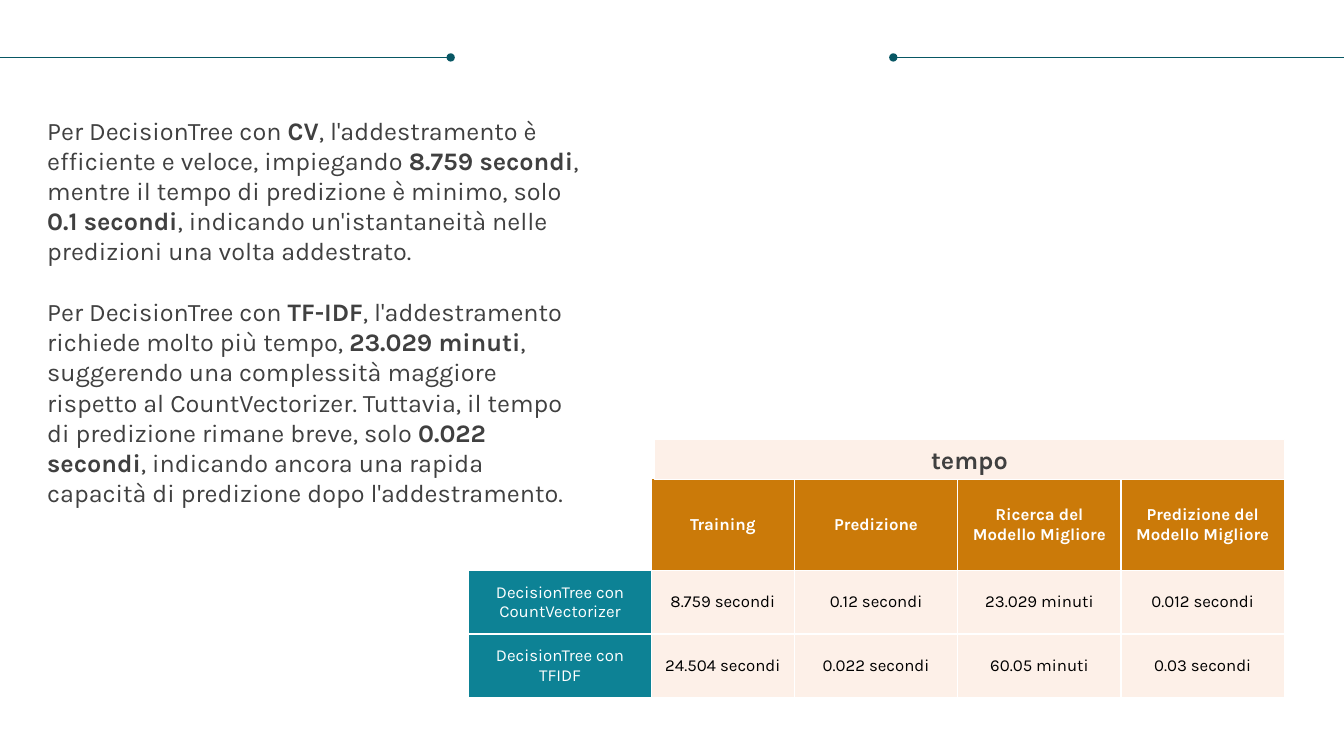
from dataclasses import dataclass

from lxml.etree import SubElement
from pptx import Presentation
from pptx.dml.color import RGBColor
from pptx.enum.shapes import MSO_CONNECTOR, MSO_SHAPE
from pptx.enum.text import MSO_ANCHOR, PP_ALIGN
from pptx.oxml.ns import qn
from pptx.util import Inches, Pt


@dataclass(frozen=True)
class Theme:
    font: str = "Karla"
    text_size: int = 18
    table_size: int = 12
    text: RGBColor = RGBColor(0x40, 0x40, 0x40)
    black: RGBColor = RGBColor(0, 0, 0)
    white: RGBColor = RGBColor(0xFF, 0xFF, 0xFF)
    rule: RGBColor = RGBColor(0x08, 0x57, 0x64)
    orange: RGBColor = RGBColor(0xCB, 0x7A, 0x09)
    teal: RGBColor = RGBColor(0x0D, 0x82, 0x95)
    cream: RGBColor = RGBColor(0xFD, 0xF0, 0xE8)


theme = Theme()


def write(paragraph, text, size=theme.text_size, color=theme.text, bold=False,
          align=PP_ALIGN.LEFT, space_after=0):
    paragraph.alignment = align
    paragraph.space_after = Pt(space_after)
    for index, part in enumerate(text.split("**")):
        if part:
            run = paragraph.add_run()
            run.text = part
            run.font.name = theme.font
            run.font.size = Pt(size)
            run.font.color.rgb = color
            run.font.bold = bold or index % 2 == 1


def add_border(cell, side):
    line = SubElement(cell._tc.get_or_add_tcPr(), qn(f"a:{side}"), w=str(Pt(1)))
    fill = SubElement(line, qn("a:solidFill"))
    SubElement(fill, qn("a:srgbClr"), val=str(theme.white))


presentation = Presentation()
presentation.slide_width = Inches(13.33)
presentation.slide_height = Inches(7.5)
slide = presentation.slides.add_slide(presentation.slide_layouts[6])

for start, end, dot_end in [(8.86, 13.33, "headEnd"), (0, 4.47, "tailEnd")]:
    rule = slide.shapes.add_connector(
        MSO_CONNECTOR.STRAIGHT, Inches(start), Inches(0.57), Inches(end), Inches(0.57))
    rule.line.color.rgb = theme.rule
    rule.line.width = Pt(0.5)
    SubElement(rule.line._get_or_add_ln(), qn(f"a:{dot_end}"), type="oval")
    SubElement(rule._element.spPr, qn("a:effectLst"))

column_widths = [1.81, 1.42, 1.62, 1.62, 1.62]
row_heights = [0.91, 0.63, 0.63]
times = [
    ["", "Training", "Predizione", "Ricerca del Modello Migliore",
     "Predizione del Modello Migliore"],
    ["DecisionTree con CountVectorizer", "8.759 secondi", "0.12 secondi",
     "23.029 minuti", "0.012 secondi"],
    ["DecisionTree con TFIDF", "24.504 secondi", "0.022 secondi",
     "60.05 minuti", "0.03 secondi"],
]
table = slide.shapes.add_table(
    len(row_heights), len(column_widths), Inches(4.65), Inches(4.75),
    Inches(sum(column_widths)), Inches(sum(row_heights))).table
for column, width in zip(table.columns, column_widths):
    column.width = Inches(width)
for row, height in zip(table.rows, row_heights):
    row.height = Inches(height)

for row_index, values in enumerate(times):
    for column_index, value in enumerate(values):
        cell = table.cell(row_index, column_index)
        is_header = row_index == 0
        is_label = column_index == 0
        for side in ("lnL", "lnR", "lnT", "lnB"):
            add_border(cell, side)
        cell.fill.solid()
        if is_header:
            cell.fill.fore_color.rgb = theme.white if is_label else theme.orange
        else:
            cell.fill.fore_color.rgb = theme.teal if is_label else theme.cream
        cell.vertical_anchor = MSO_ANCHOR.MIDDLE
        write(cell.text_frame.paragraphs[0], value, size=theme.table_size,
              color=theme.white if is_header or is_label else theme.black,
              bold=is_header, align=PP_ALIGN.CENTER)

time_banner = slide.shapes.add_shape(
    MSO_SHAPE.RECTANGLE, Inches(6.49), Inches(4.36), Inches(6.25), Inches(0.4))
time_banner.shadow.inherit = False
time_banner.fill.solid()
time_banner.fill.fore_color.rgb = theme.cream
time_banner.line.color.rgb = theme.white
time_banner.line.width = Pt(1)
time_banner.text_frame.vertical_anchor = MSO_ANCHOR.MIDDLE
write(time_banner.text_frame.paragraphs[0], "tempo", bold=True, align=PP_ALIGN.CENTER)

commentary = slide.shapes.add_textbox(
    Inches(0.37), Inches(1.09), Inches(5.56), Inches(4.04)).text_frame
commentary.word_wrap = True
write(commentary.paragraphs[0],
      "Per DecisionTree con **CV**, l'addestramento è efficiente e veloce, impiegando "
      "**8.759 secondi**, mentre il tempo di predizione è minimo, solo **0.1 secondi**, "
      "indicando un'istantaneità nelle predizioni una volta addestrato.",
      space_after=21.6)
write(commentary.add_paragraph(),
      "Per DecisionTree con **TF-IDF**, l'addestramento richiede molto più tempo, "
      "**23.029 minuti**, suggerendo una complessità maggiore rispetto al "
      "CountVectorizer. Tuttavia, il tempo di predizione rimane breve, solo "
      "**0.022 secondi**, indicando ancora una rapida capacità di predizione dopo "
      "l'addestramento.")

presentation.save("out.pptx")
